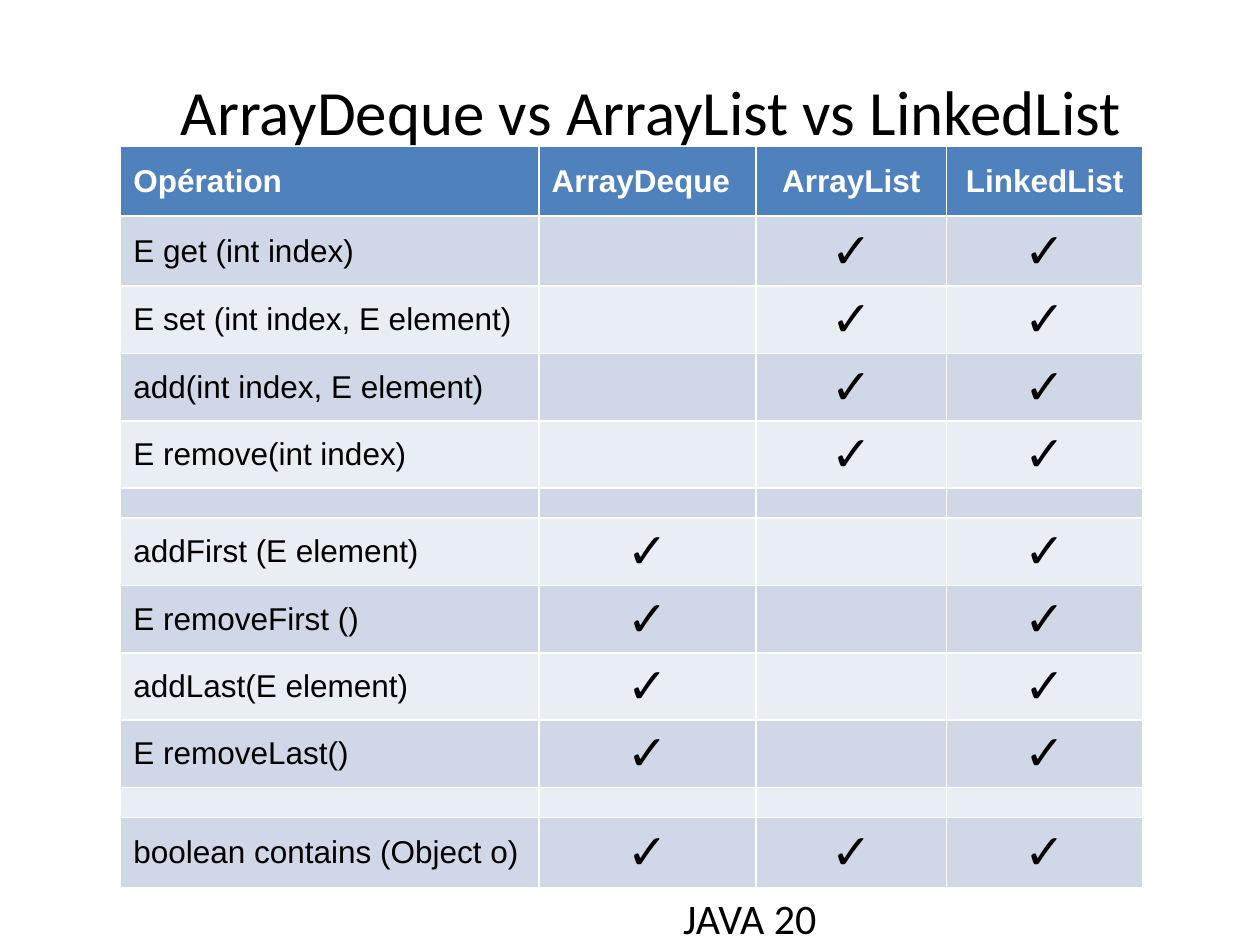
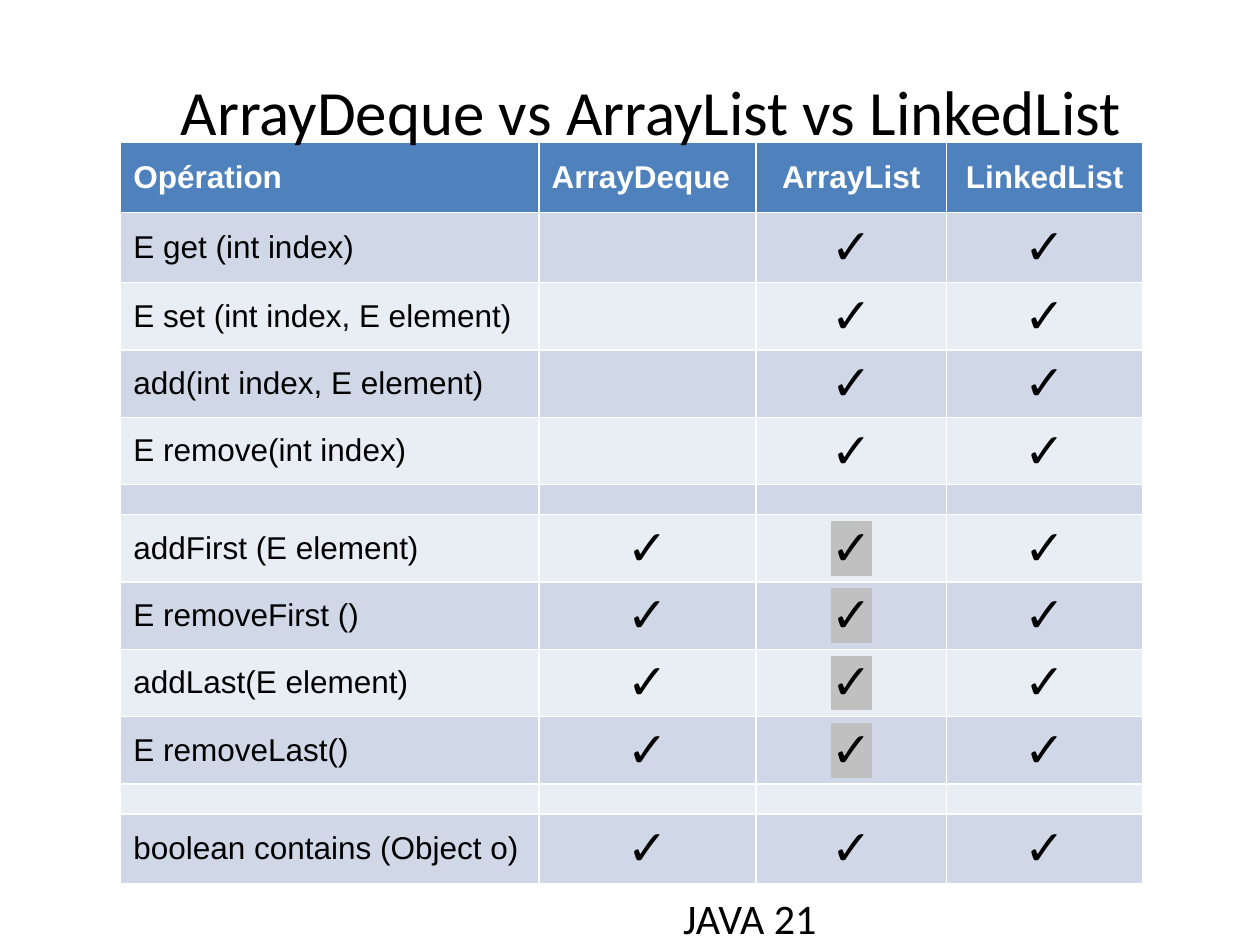
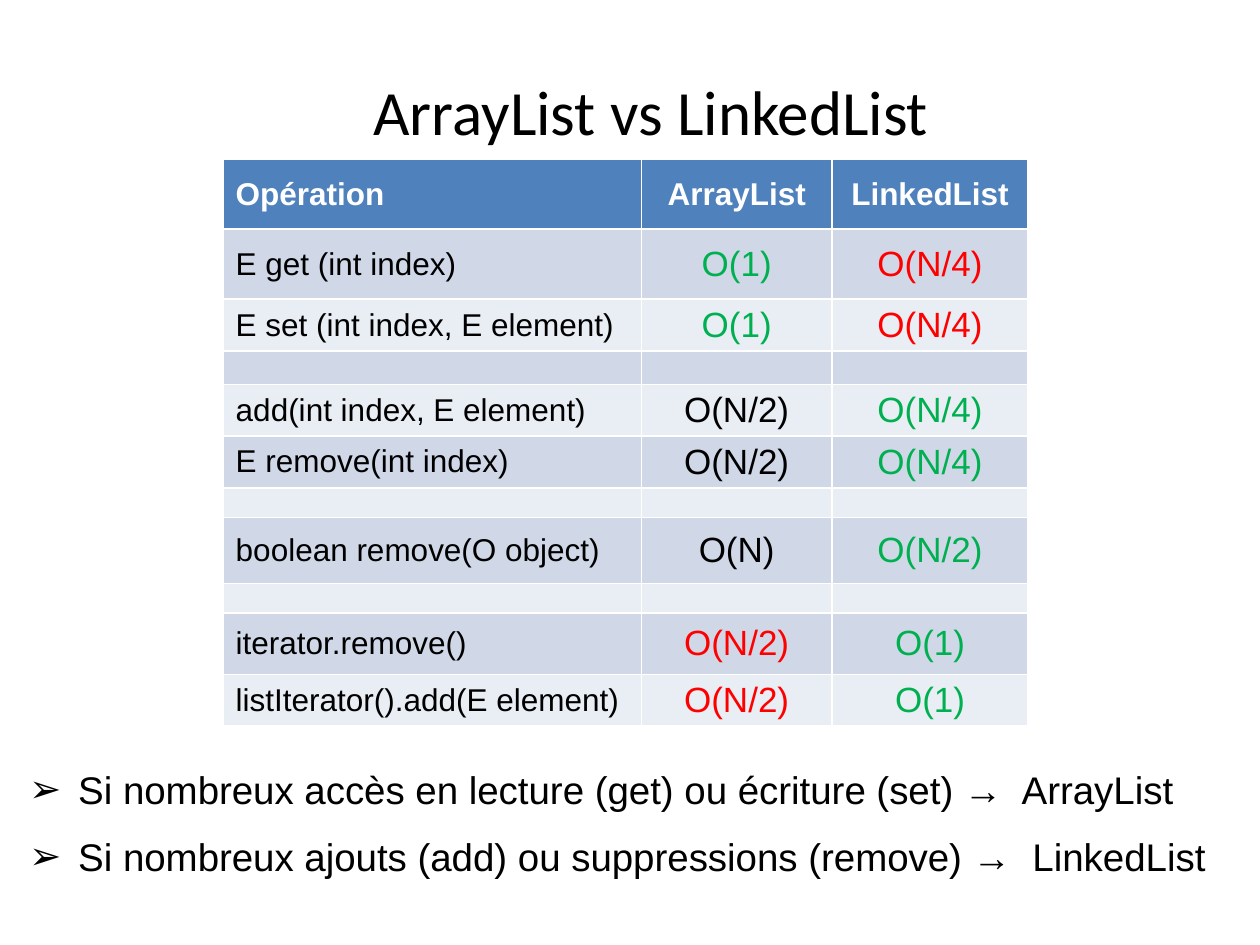
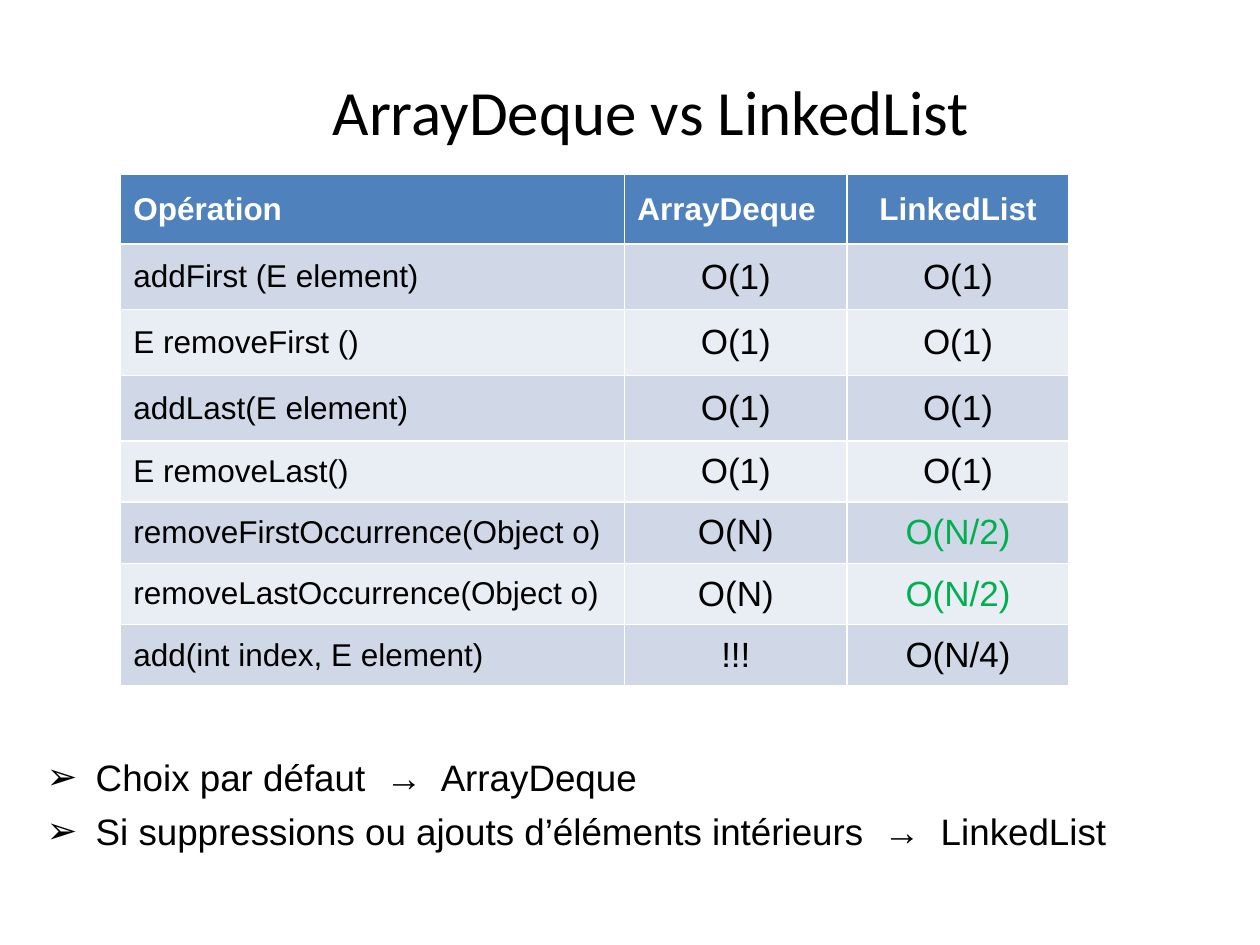
from lxml import etree
from pptx import Presentation
from pptx.dml.color import RGBColor
from pptx.enum import text
from pptx.oxml import ns
from pptx.util import Pt

COLOURS = {
    "header": "4F81BD", "dark band": "D0D8E8", "light band": "E9EDF4",
    "white": "FFFFFF", "black": "000000",
    "good": "00B050", "bad": "FF0000", "marked": "C0C0C0",
}
CENTRE = text.PP_ALIGN.CENTER
CHECK = "✓"
TITLE_ONLY, TITLE_AND_BODY = 5, 1


class Slides:
    """Holds the shared style and the current slide."""

    def __init__(self):
        self.deck = Presentation()
        self.deck.slide_width, self.deck.slide_height = Pt(720), Pt(540)
        self.page = None

    def add_page(self, layout):
        self.page = self.deck.slides.add_slide(self.deck.slide_layouts[layout])

    def place(self, shape, left, top, width, height):
        shape.left, shape.top = Pt(left), Pt(top)
        shape.width, shape.height = Pt(width), Pt(height)

    def style(self, para, size, colour="black", font="Arial", bold=False):
        for span in para.runs:
            span.font.size, span.font.name, span.font.bold = Pt(size), font, bold
            span.font.color.rgb = RGBColor.from_string(COLOURS[colour])

    def line(self, box, words, size):
        """Fill a box with one centred line."""
        frame = box.text_frame
        frame.text = words
        frame.word_wrap = True
        frame.auto_size = text.MSO_AUTO_SIZE.NONE
        frame.vertical_anchor = text.MSO_ANCHOR.MIDDLE
        frame.paragraphs[0].alignment = CENTRE
        self.style(frame.paragraphs[0], size, font="Calibri")

    def title(self, words):
        box = self.page.shapes.title
        self.place(box, 48, 34, 648, 57.6)
        self.line(box, words, 36)
        box.element.getparent().append(box.element)  # in front of the table

    def footer(self, words):
        box = self.page.shapes.add_textbox(Pt(104.5), Pt(495.5), Pt(648), Pt(57.6))
        self.line(box, words, 24)

    def bullets(self, lines, place, size, gap):
        box = self.page.placeholders[1]
        self.place(box, *place)
        frame = box.text_frame
        frame.text = "\n".join(lines)
        frame.word_wrap = True
        frame.auto_size = text.MSO_AUTO_SIZE.SHAPE_TO_FIT_TEXT
        for para in frame.paragraphs:
            para.space_before, para.space_after = Pt(0), Pt(gap)
            props = para._p.get_or_add_pPr()
            props.set("marL", str(Pt(28)))
            props.set("indent", str(Pt(-28)))
            etree.SubElement(props, ns.qn("a:buFont")).set("typeface", "Arial")
            etree.SubElement(props, ns.qn("a:buChar")).set("char", "➢")
            self.style(para, size)
        box.element.getparent().append(box.element)

    def highlight(self, span):
        mark = etree.Element(ns.qn("a:highlight"))
        etree.SubElement(mark, ns.qn("a:srgbClr")).set("val", COLOURS["marked"])
        span.font._element.find(ns.qn("a:solidFill")).addnext(mark)

    def cell(self, cell, words, size, fill, colour="black", bold=False, centred=True):
        cell.fill.solid()
        cell.fill.fore_color.rgb = RGBColor.from_string(COLOURS[fill])
        cell.vertical_anchor = text.MSO_ANCHOR.MIDDLE
        cell.text = words
        para = cell.text_frame.paragraphs[0]
        if centred:
            para.alignment = CENTRE
        if not words:  # the end mark keeps an empty row low
            end = etree.SubElement(para._p, ns.qn("a:endParaRPr"))
            end.set("sz", str(size * 100))
        self.style(para, size, "black" if colour == "marked" else colour, bold=bold)
        if colour == "marked":
            self.highlight(para.runs[0])

    def table(self, left, top, widths, header, rows, value_size):
        """Each row is a height and its cells; a row without cells is a spacer."""
        heights = [40] + [row[0] for row in rows]
        grid = self.page.shapes.add_table(
            len(heights), len(widths), Pt(left), Pt(top),
            Pt(sum(widths)), Pt(sum(heights))).table
        for column, width in zip(grid.columns, widths):
            column.width = Pt(width)
        for row, height in zip(grid.rows, heights):
            row.height = Pt(height)
        for c, words in enumerate(header):
            self.cell(grid.cell(0, c), words, 18, "header", "white", True,
                      words not in ("Opération", "ArrayDeque"))
        for r, (height, *values) in enumerate(rows, 1):
            fill = "dark band" if r % 2 else "light band"
            for c in range(len(widths)):
                value = values[c] if values else ""
                words, colour = value if isinstance(value, tuple) else (value, "black")
                size = value_size if c and words else 18
                if not values:
                    size = int(height / 2)
                self.cell(grid.cell(r, c), words, size, fill, colour, centred=c > 0)


def check_rows(list_ends):
    """Operations of the three classes; list_ends is ArrayList's cell for end access."""
    by_index = ["E get (int index)", "E set (int index, E element)",
                "add(int index, E element)", "E remove(int index)"]
    at_ends = ["addFirst (E element)", "E removeFirst ()",
               "addLast(E element)", "E removeLast()"]
    return [
        *[(38.5 if i else 40, name, "", CHECK, CHECK) for i, name in enumerate(by_index)],
        (16.2,),
        *[(38.5, name, CHECK, list_ends, CHECK) for name in at_ends],
        (16.2,),
        (40, "boolean contains (Object o)", CHECK, CHECK, CHECK),
    ]


def good(words):
    return words, "good"


def bad(words):
    return words, "bad"


def main():
    slides = Slides()

    # Supported operations, without and with ArrayList at both ends
    for number, top, list_ends in ((20, 83.5, ""), (21, 81.5, (CHECK, "marked"))):
        slides.add_page(TITLE_ONLY)
        slides.table(69, top, [239, 124, 109, 112],
                     ["Opération", "ArrayDeque", "ArrayList", "LinkedList"],
                     check_rows(list_ends), 28)
        slides.footer(f"JAVA {number}")
        slides.title("ArrayDeque vs ArrayList vs LinkedList")

    # Costs of the two lists
    slides.add_page(TITLE_AND_BODY)
    slides.table(127.5, 91, [239, 109, 112], ["Opération", "ArrayList", "LinkedList"], [
        (40, "E get (int index)", good("O(1)"), bad("O(N/4)")),
        (29.5, "E set (int index, E element)", good("O(1)"), bad("O(N/4)")),
        (19.2,),
        (29.5, "add(int index, E element)", "O(N/2)", good("O(N/4)")),
        (29.5, "E remove(int index)", "O(N/2)", good("O(N/4)")),
        (16.2,),
        (37.5, "boolean remove(O object)", "O(N)", good("O(N/2)")),
        (16.2,),
        (35, "iterator.remove()", bad("O(N/2)"), good("O(1)")),
        (29.5, "listIterator().add(E element)", bad("O(N/2)"), good("O(1)")),
    ], 20)
    slides.title("ArrayList vs LinkedList")
    slides.bullets(["Si nombreux accès en lecture (get) ou écriture (set) →  ArrayList",
                    "Si nombreux ajouts (add) ou suppressions (remove) →  LinkedList"],
                   (9.5, 434, 695.5, 73), 22, 12)

    # Costs at the ends
    slides.add_page(TITLE_AND_BODY)
    slides.table(69, 99.5, [288, 127, 127], ["Opération", "ArrayDeque", "LinkedList"], [
        (37.5, "addFirst (E element)", "O(1)", "O(1)"),
        (37.5, "E removeFirst ()", "O(1)", "O(1)"),
        (37.5, "addLast(E element)", "O(1)", "O(1)"),
        (35, "E removeLast()", "O(1)", "O(1)"),
        (35, "removeFirstOccurrence(Object o)", "O(N)", good("O(N/2)")),
        (35, "removeLastOccurrence(Object o)", "O(N)", good("O(N/2)")),
        (35, "add(int index, E element)", "!!!", "O(N/4)"),
    ], 20)
    slides.title("ArrayDeque vs LinkedList")
    slides.bullets(["Choix par défaut  →  ArrayDeque",
                    "Si suppressions ou ajouts d’éléments intérieurs  →  LinkedList"],
                   (19.5, 427.5, 631, 64), 21, 6)

    slides.deck.save("out.pptx")


if __name__ == "__main__":
    main()
